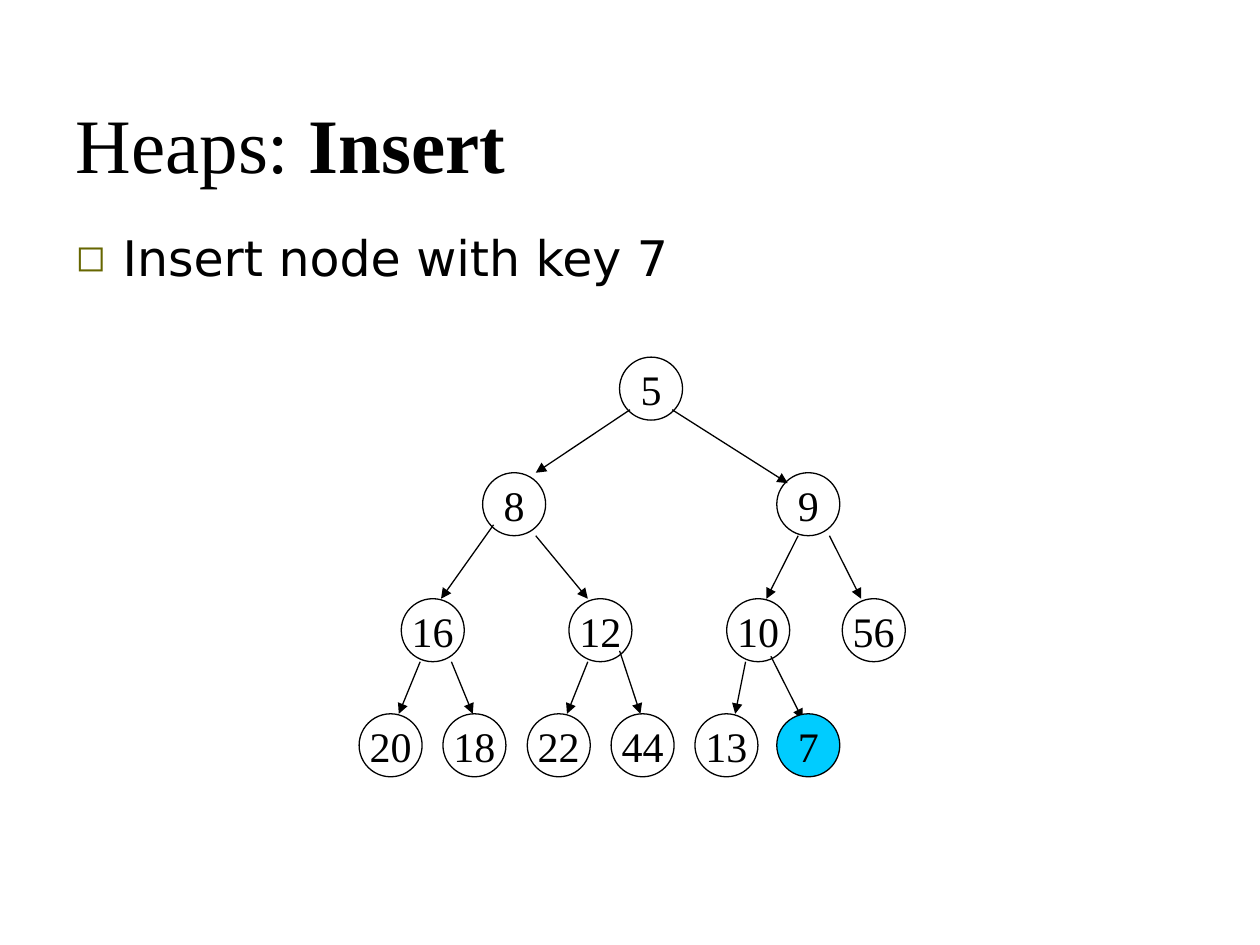
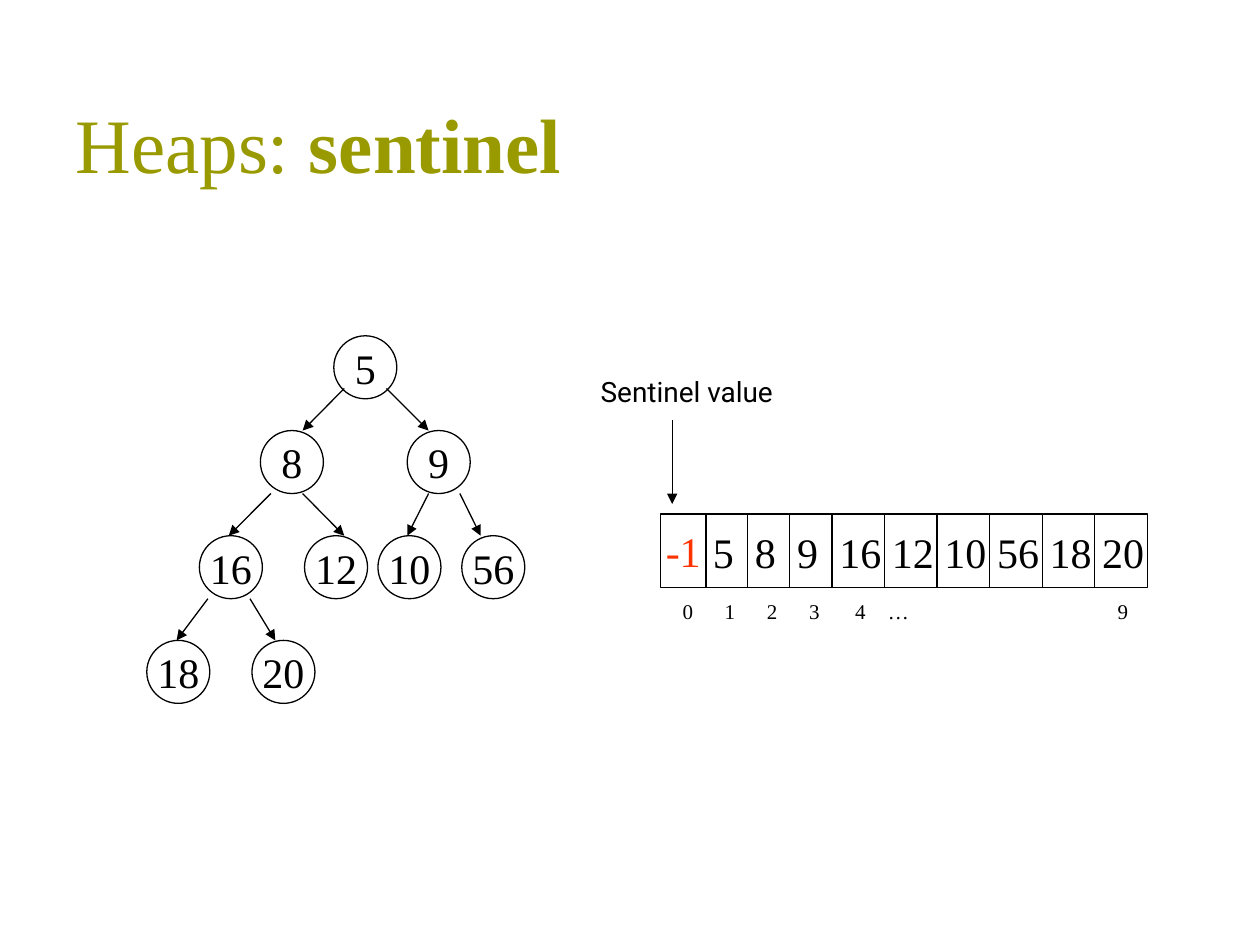
from itertools import accumulate

from lxml import etree
from pptx import Presentation
from pptx.dml.color import RGBColor
from pptx.enum.shapes import MSO_CONNECTOR, MSO_SHAPE
from pptx.enum.text import MSO_ANCHOR, MSO_AUTO_SIZE, PP_ALIGN
from pptx.oxml.ns import qn
from pptx.util import Cm, Pt

OVAL, RECT = MSO_SHAPE.OVAL, MSO_SHAPE.RECTANGLE
LINE = MSO_CONNECTOR.STRAIGHT
TOP, MIDDLE, BOTTOM = MSO_ANCHOR.TOP, MSO_ANCHOR.MIDDLE, MSO_ANCHOR.BOTTOM
LEFT, CENTER = PP_ALIGN.LEFT, PP_ALIGN.CENTER
FIXED = MSO_AUTO_SIZE.NONE

BLACK = RGBColor(0x00, 0x00, 0x00)
OLIVE = RGBColor(0x99, 0x99, 0x00)
MOSS = RGBColor(0x66, 0x66, 0x00)
CYAN = RGBColor(0x00, 0xCC, 0xFF)
RED = RGBColor(0xFF, 0x33, 0x00)

SERIF, SANS, LABEL = "Times New Roman", "DejaVu Sans", "Roboto"
NODE = 1.27  # node diameter

# Trees in heap order: rows of (top, [(key, left)]), then one arrow per child
FULL_ROWS = [
    (7.2, [("5", 12.49)]),
    (9.53, [("8", 9.73), ("9", 15.66)]),
    (12.07, [("16", 8.09), ("12", 11.47), ("10", 14.65), ("56", 16.98)]),
    (14.39, [("20", 7.24), ("18", 8.93), ("22", 10.63), ("44", 12.32),
             ("13", 14.01), ("7", 15.66)]),
]
FULL_ARROWS = [
    (12.7, 8.26, 10.8, 9.53), (13.55, 8.26, 15.88, 9.74),
    (9.95, 10.58, 8.89, 12.07), (10.8, 10.8, 11.85, 12.07),
    (16.09, 10.8, 15.45, 12.07), (16.72, 10.8, 17.36, 12.07),
    (8.47, 13.34, 8.04, 14.39), (9.1, 13.34, 9.53, 14.39),
    (11.85, 13.34, 11.43, 14.39), (12.49, 13.12, 12.91, 14.39),
    (15.03, 13.34, 14.82, 14.39), (15.54, 13.23, 16.18, 14.5),
]
SMALL_ROWS = [
    (6.77, [("5", 6.73)]),
    (8.68, [("8", 5.25), ("9", 8.21)]),
    (10.8, [("16", 4.02), ("12", 6.14), ("10", 7.62), ("56", 9.31)]),
    (12.91, [("18", 2.96), ("20", 5.08)]),
]
SMALL_ARROWS = [
    (6.94, 7.83, 6.1, 8.68), (7.79, 7.83, 8.64, 8.68),
    (5.46, 9.95, 4.61, 10.8), (6.1, 9.95, 6.94, 10.8),
    (8.64, 9.95, 8.21, 10.8), (9.27, 9.95, 9.69, 10.8),
    (4.19, 12.07, 3.56, 12.91), (5.04, 12.07, 5.55, 12.91),
]


class Deck:
    def __init__(self):
        self.prs = Presentation()
        self.prs.slide_width, self.prs.slide_height = Cm(25.4), Cm(19.05)
        self.slide = None

    def new(self, layout):
        self.slide = self.prs.slides.add_slide(self.prs.slide_layouts[layout])

    def place(self, shape, left, top, width, height):
        shape.left, shape.top = Cm(left), Cm(top)
        shape.width, shape.height = Cm(width), Cm(height)

    def frame(self, shape, anchor=TOP, align=LEFT, wrap=True):
        frame = shape.text_frame
        frame.auto_size, frame.word_wrap = FIXED, wrap
        frame.vertical_anchor = anchor
        para = frame.paragraphs[0]
        para.alignment, para.space_before = align, Pt(0)
        return para

    def run(self, para, text, size, font=SERIF, color=BLACK, bold=False):
        run = para.add_run()
        run.text = text
        run.font.size, run.font.name = Pt(size), font
        run.font.color.rgb, run.font.bold = color, bold

    def title(self, plain, strong, color):
        shape = self.slide.shapes.title
        self.place(shape, 1.27, 0.76, 22.86, 3.18)
        para = self.frame(shape, BOTTOM)
        self.run(para, plain, 44, color=color)
        self.run(para, strong, 44, color=color, bold=True)

    def bullet(self, text):
        shape = self.slide.placeholders[1]
        self.place(shape, 1.27, 4.45, 22.86, 12.57)
        para = self.frame(shape)
        props = para._p.get_or_add_pPr()
        props.set("marL", str(Cm(0.95)))
        props.set("indent", str(Cm(-0.95)))
        tint = etree.SubElement(props, qn("a:buClr"))
        etree.SubElement(tint, qn("a:srgbClr"), val=str(MOSS))
        etree.SubElement(props, qn("a:buSzPct"), val="75000")
        etree.SubElement(props, qn("a:buFont"), typeface=SANS)
        etree.SubElement(props, qn("a:buChar"), char="◻")
        self.run(para, text, 28, SANS)

    def text(self, box, text, size, font=SERIF, tabs=()):
        shape = self.slide.shapes.add_textbox(*map(Cm, box))
        para = self.frame(shape)
        if tabs:
            stops = etree.SubElement(para._p.get_or_add_pPr(), qn("a:tabLst"))
            for pos in tabs:
                etree.SubElement(stops, qn("a:tab"), pos=str(Cm(pos)), algn="l")
        self.run(para, text, size, font)

    def shape(self, kind, box, text="", color=BLACK, fill=None):
        shape = self.slide.shapes.add_shape(kind, *map(Cm, box))
        shape.shadow.inherit = False
        shape.line.color.rgb, shape.line.width = BLACK, Pt(0.75)
        if fill:
            shape.fill.solid()
            shape.fill.fore_color.rgb = fill
        else:
            shape.fill.background()
        if text:
            para = self.frame(shape, MIDDLE, CENTER, wrap=False)
            self.run(para, text, 24, color=color)

    def line(self, ends, arrow=False):
        line = self.slide.shapes.add_connector(LINE, *map(Cm, ends))
        line.line.color.rgb, line.line.width = BLACK, Pt(0.75)
        if arrow:
            etree.SubElement(line.line._get_or_add_ln(), qn("a:tailEnd"),
                             type="triangle")
        etree.SubElement(line._element.spPr, qn("a:effectLst"))

    def tree(self, rows, arrows, mark=None):
        for ends in arrows:
            self.line(ends, arrow=True)
        for top, nodes in rows:
            for key, left in nodes:
                self.shape(OVAL, (left, top, NODE, NODE), key,
                           fill=CYAN if key == mark else None)

    def array(self, left, top, height, cells):
        # One-digit cells are narrower than two-digit ones
        edges = list(accumulate(0.85 if len(key) == 1 else 1.06
                                for key in cells))
        self.shape(RECT, (left, top, edges[-1], height))
        for edge in edges[:-1]:
            self.line((left + edge, top, left + edge, top + height))
        self.text((left - 0.1, top + 0.13, edges[-1] + 0.4, NODE),
                  "\t".join(cells), 24, tabs=edges[:-1])


def main():
    deck = Deck()

    # Insert
    deck.new(1)
    deck.title("Heaps: ", "Insert", BLACK)
    deck.bullet("Insert node with key 7")
    deck.tree(FULL_ROWS, FULL_ARROWS, mark="7")

    # Sentinel: tree on the left
    deck.new(5)
    deck.title("Heaps: ", "sentinel", OLIVE)
    deck.tree(SMALL_ROWS, SMALL_ARROWS)

    # Sentinel: array on the right
    keys = [key for _, nodes in SMALL_ROWS for key, _ in nodes]
    deck.array(14.22, 10.36, 1.48, keys)
    deck.shape(RECT, (13.31, 10.36, 0.93, 1.48), "-1", RED)
    deck.text((11.86, 7.42, 6.55, 0.94), "Sentinel value", 16, LABEL)
    deck.line((13.55, 8.47, 13.55, 10.16), arrow=True)
    deck.text((13.31, 11.94, 9.83, NODE), "\t0\t1\t2\t3\t4\t…\t9", 12,
              tabs=(0.2, 1.05, 1.9, 2.75, 3.68, 4.34, 8.97))

    deck.prs.save("out.pptx")


if __name__ == "__main__":
    main()
